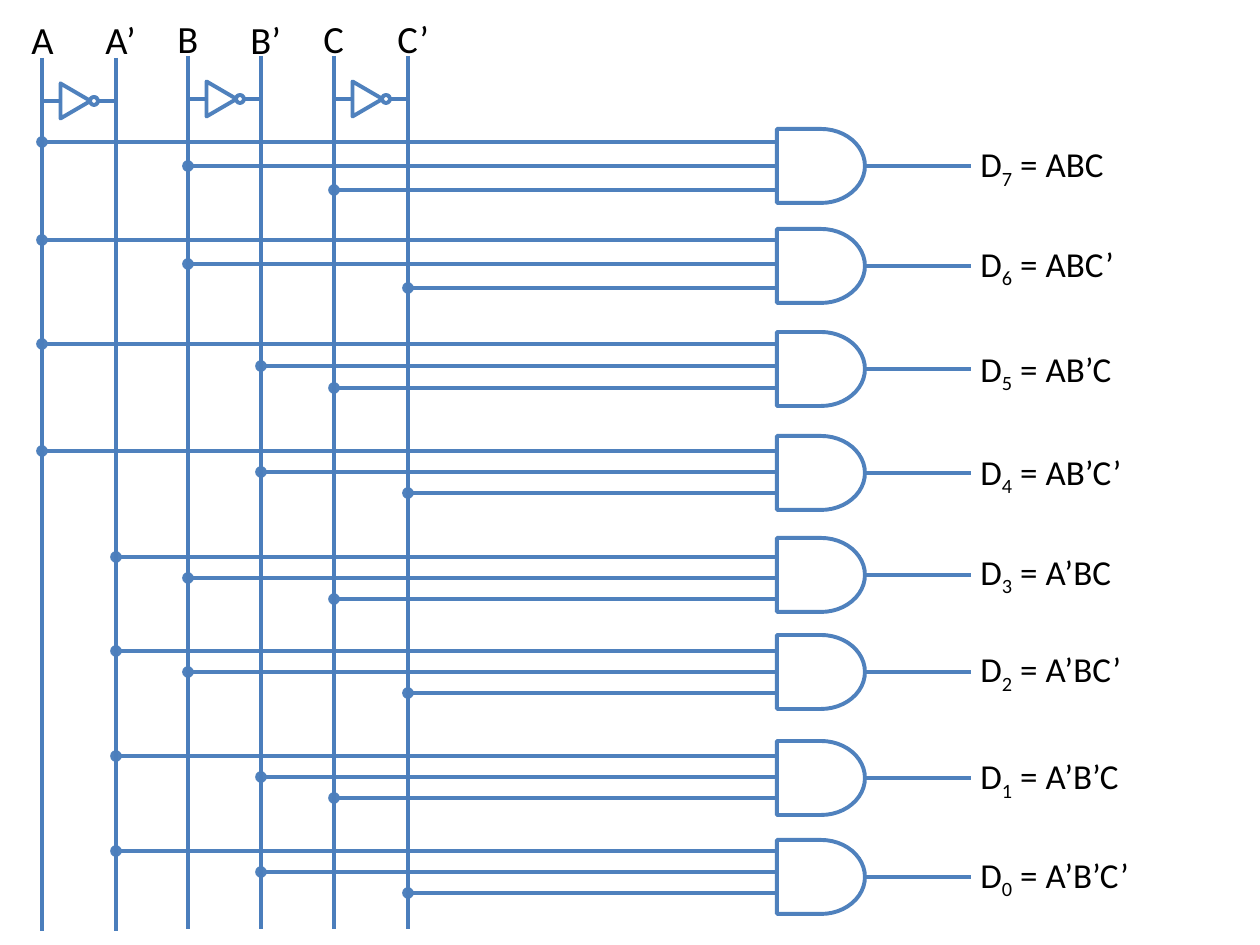
from dataclasses import dataclass

import lxml.etree
import pptx
import pptx.dml.color
import pptx.enum.shapes
import pptx.enum.text
import pptx.oxml.ns
import pptx.shapes.autoshape
import pptx.shapes.connector
import pptx.shapes.shapetree
import pptx.util

EMU_PER_PX = 914400 / 126
GATE_LEFT, GATE_WIDTH, GATE_HEIGHT = 777, 88, 74
OUTPUT_RIGHT = 971
EQUATION_LEFT, EQUATION_HEIGHT = 968, 55
RAIL_LENGTH = 873

Shapes = pptx.shapes.shapetree._BaseGroupShapes
Preset = pptx.enum.shapes.MSO_SHAPE


@dataclass(frozen=True)
class Theme:
    font: str = "Calibri"
    text: str = "000000"
    wire: str = "4F81BD"
    rail: str = "4B7EBC"
    paper: str = "FFFFFF"
    line_pt: float = 2.25
    signal_pt: int = 22
    equation_pt: int = 20


@dataclass(frozen=True)
class Rail:
    signal: str
    x: int
    top: int
    label_top: int
    label_width: int


@dataclass(frozen=True)
class Minterm:
    number: int
    inputs: tuple[str, str, str]
    gate_top: int
    first_input: int
    input_pitch: int
    equation_top: int
    equation_width: int


THEME = Theme()
RAILS = (
    Rail("A", 42, 58, 10, 39),
    Rail("A’", 116, 58, 10, 57),
    Rail("B", 188, 56, 9, 39),
    Rail("B’", 261, 56, 10, 57),
    Rail("C", 334, 56, 9, 39),
    Rail("C’", 408, 56, 9, 57),
)
MINTERMS = (
    Minterm(7, ("A", "B", "C"), 129, 142, 24, 136, 158),
    Minterm(6, ("A", "B", "C’"), 229, 240, 24, 236, 161),
    Minterm(5, ("A", "B’", "C"), 332, 344, 22, 341, 159),
    Minterm(4, ("A", "B’", "C’"), 436, 451, 21, 444, 169),
    Minterm(3, ("A’", "B", "C"), 538, 557, 21, 544, 159),
    Minterm(2, ("A’", "B", "C’"), 635, 651, 21, 641, 169),
    Minterm(1, ("A’", "B’", "C"), 741, 756, 21, 748, 166),
    Minterm(0, ("A’", "B’", "C’"), 840, 851, 21, 847, 176),
)


def px(length: int) -> pptx.util.Emu:
    return pptx.util.Emu(round(length * EMU_PER_PX))


def rgb(value: str) -> pptx.dml.color.RGBColor:
    return pptx.dml.color.RGBColor.from_string(value)


def draw_line(shapes: Shapes, start: tuple[int, int], end: tuple[int, int],
              color: str, junction: bool = False) -> None:
    wire = shapes.add_connector(
        pptx.enum.shapes.MSO_CONNECTOR.STRAIGHT, *map(px, start + end))
    wire.line.color.rgb = rgb(color)
    wire.line.width = pptx.util.Pt(THEME.line_pt)
    properties = wire.element.spPr
    if junction:
        outline = properties.find(pptx.oxml.ns.qn("a:ln"))
        lxml.etree.SubElement(outline, pptx.oxml.ns.qn("a:headEnd"), type="oval")
    lxml.etree.SubElement(properties, pptx.oxml.ns.qn("a:effectLst"))


def draw_outline(shapes: Shapes, preset: Preset, box: tuple[int, int, int, int],
                 filled: bool = True) -> pptx.shapes.autoshape.Shape:
    part = shapes.add_shape(preset, *map(px, box))
    part.shadow.inherit = False
    if filled:
        part.fill.solid()
        part.fill.fore_color.rgb = rgb(THEME.paper)
    else:
        part.fill.background()
    part.line.color.rgb = rgb(THEME.wire)
    part.line.width = pptx.util.Pt(THEME.line_pt)
    return part


def draw_text(shapes: Shapes, box: tuple[int, int, int, int],
              runs: tuple[tuple[str, bool], ...], size: int, wrap: bool) -> None:
    label = shapes.add_textbox(*map(px, box))
    label.text_frame.word_wrap = wrap
    label.text_frame.auto_size = pptx.enum.text.MSO_AUTO_SIZE.SHAPE_TO_FIT_TEXT
    for text, subscript in runs:
        run = label.text_frame.paragraphs[0].add_run()
        run.text = text
        run.font.name = THEME.font
        run.font.size = pptx.util.Pt(size)
        run.font.color.rgb = rgb(THEME.text)
        if subscript:
            run._r.get_or_add_rPr().set("baseline", "-25000")


def draw_rail(shapes: Shapes, rail: Rail) -> None:
    draw_line(shapes, (rail.x, rail.top), (rail.x, rail.top + RAIL_LENGTH), THEME.rail)
    draw_text(shapes, (rail.x - 23, rail.label_top, rail.label_width, 59),
              ((rail.signal, False),), THEME.signal_pt, wrap=True)


def draw_inverter(shapes: Shapes, source: Rail, inverse: Rail) -> None:
    inverter = shapes.add_group_shape().shapes
    y = source.top + 43
    triangle = draw_outline(inverter, Preset.ISOSCELES_TRIANGLE,
                            (source.x + 16, y - 15, 35, 30))
    triangle.rotation = 90
    draw_outline(inverter, Preset.OVAL, (source.x + 48, y - 4, 8, 8))
    draw_line(inverter, (source.x, y), (source.x + 19, y), THEME.rail)
    draw_line(inverter, (source.x + 55, y), (inverse.x, y), THEME.rail)


def draw_minterm(shapes: Shapes, minterm: Minterm, rail_x: dict[str, int]) -> None:
    gate = shapes.add_group_shape().shapes
    output_y = minterm.gate_top + GATE_HEIGHT // 2
    draw_line(gate, (GATE_LEFT + GATE_WIDTH, output_y), (OUTPUT_RIGHT, output_y), THEME.wire)
    draw_outline(gate, Preset.FLOWCHART_DELAY,
                 (GATE_LEFT, minterm.gate_top, GATE_WIDTH, GATE_HEIGHT), filled=False)
    for index, signal in enumerate(minterm.inputs):
        y = minterm.first_input + index * minterm.input_pitch
        draw_line(shapes, (rail_x[signal], y), (GATE_LEFT, y), THEME.wire, junction=True)
    equation = (("D", False), (str(minterm.number), True),
                (f" = {''.join(minterm.inputs)}", False))
    draw_text(shapes, (EQUATION_LEFT, minterm.equation_top,
                       minterm.equation_width, EQUATION_HEIGHT),
              equation, THEME.equation_pt, wrap=False)


def main() -> None:
    deck = pptx.Presentation()
    deck.slide_width, deck.slide_height = px(1260), px(945)
    decoder = deck.slides.add_slide(deck.slide_layouts[6]).shapes
    rail_x = {rail.signal: rail.x for rail in RAILS}
    for minterm in MINTERMS:
        draw_minterm(decoder, minterm, rail_x)
    for rail in RAILS:
        draw_rail(decoder, rail)
    for source, inverse in zip(RAILS[::2], RAILS[1::2]):
        draw_inverter(decoder, source, inverse)
    deck.save("out.pptx")


if __name__ == "__main__":
    main()
